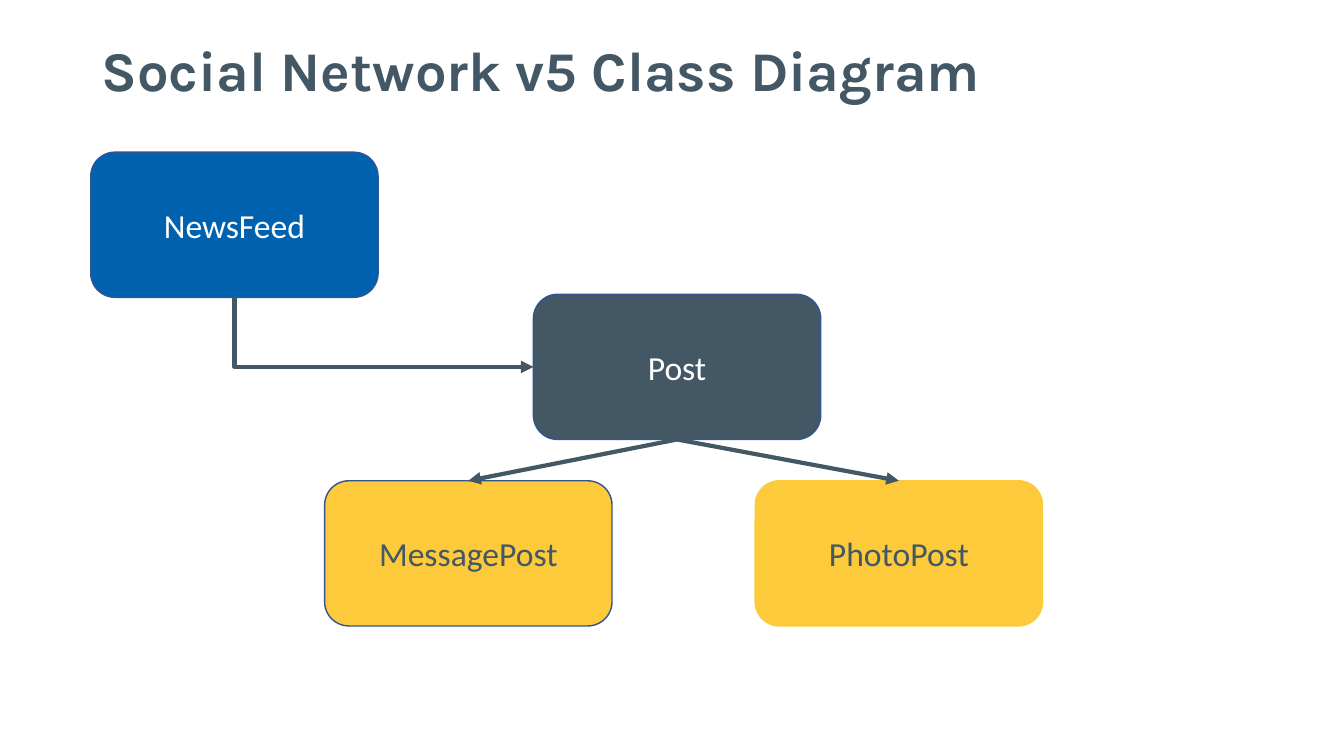
from pptx import Presentation
from pptx.dml.color import RGBColor
from pptx.enum.shapes import MSO_CONNECTOR, MSO_SHAPE
from pptx.enum.text import MSO_ANCHOR, PP_ALIGN
from pptx.oxml.ns import qn
from pptx.util import Inches, Pt
from lxml.etree import SubElement

COLORS = {
    "slate": "435765",
    "blue": "0062AF",
    "yellow": "FCCA3A",
    "outline": "325491",
    "white": "FFFFFF",
}
CLASS_WIDTH, CLASS_HEIGHT = 2.85, 1.44
TOP, LEFT, BOTTOM = 0, 1, 2


def color(name):
    return RGBColor.from_string(COLORS[name])


def write(shape, text, font, size, ink, bold=False):
    frame = shape.text_frame
    frame.word_wrap = True
    frame.vertical_anchor = MSO_ANCHOR.MIDDLE
    para = frame.paragraphs[0]
    span = para.add_run()
    span.text = text
    span.font.name = font
    span.font.size = Pt(size)
    span.font.bold = bold
    span.font.color.rgb = color(ink)
    return para


def add_title(page, left, top, width, height, text):
    box = page.shapes.add_textbox(Inches(left), Inches(top), Inches(width), Inches(height))
    para = write(box, text, "Karla", 40, "slate", bold=True)
    para.line_spacing = 0.9


def add_class(page, left, top, name, fill, ink, outline="outline"):
    box = page.shapes.add_shape(
        MSO_SHAPE.ROUNDED_RECTANGLE,
        Inches(left), Inches(top), Inches(CLASS_WIDTH), Inches(CLASS_HEIGHT),
    )
    box.shadow.inherit = False
    box.fill.solid()
    box.fill.fore_color.rgb = color(fill)
    box.line.color.rgb = color(outline)
    box.line.width = Pt(1)
    para = write(box, name, "Calibri", 24, ink)
    para.alignment = PP_ALIGN.CENTER
    return box


def add_arrow(page, source, source_side, target, target_side, kind=MSO_CONNECTOR.STRAIGHT):
    arrow = page.shapes.add_connector(kind, 0, 0, 0, 0)
    arrow.begin_connect(source, source_side)
    arrow.end_connect(target, target_side)
    arrow.line.color.rgb = color("slate")
    arrow.line.width = Pt(3)
    properties = arrow._element.spPr
    SubElement(properties.find(qn("a:ln")), qn("a:tailEnd"), type="triangle")
    SubElement(properties, qn("a:effectLst"))
    return arrow


def bend_down_then_right(arrow):
    across, down = arrow.width, arrow.height
    center_x = arrow.left + across // 2
    center_y = arrow.top + down // 2
    arrow.left, arrow.top = center_x - down // 2, center_y - across // 2
    arrow.width, arrow.height = down, across
    properties = arrow._element.spPr
    frame = properties.find(qn("a:xfrm"))
    frame.set("rot", str(270 * 60000))
    frame.set("flipH", "1")
    properties.find(qn("a:prstGeom")).set("prst", "bentConnector2")


def add_class_diagram(page, left, top):
    feed = add_class(page, left, top, "NewsFeed", "blue", "white")
    post = add_class(page, left + 4.39, top + 1.41, "Post", "slate", "white")
    message = add_class(page, left + 2.32, top + 3.26, "MessagePost", "yellow", "slate")
    photo = add_class(page, left + 6.59, top + 3.26, "PhotoPost", "yellow", "slate", "yellow")
    bend_down_then_right(add_arrow(page, feed, BOTTOM, post, LEFT, MSO_CONNECTOR.ELBOW))
    for subclass in (message, photo):
        add_arrow(page, post, BOTTOM, subclass, TOP)


def main():
    deck = Presentation()
    deck.slide_width, deck.slide_height = Inches(13.33), Inches(7.5)
    page = deck.slides.add_slide(deck.slide_layouts[6])
    page.background.fill.solid()
    page.background.fill.fore_color.rgb = color("white")
    add_title(page, 0.91, 0, 11.5, 1.45, "Social Network v5 Class Diagram")
    add_class_diagram(page, 0.9, 1.51)
    deck.save("out.pptx")


if __name__ == "__main__":
    main()
